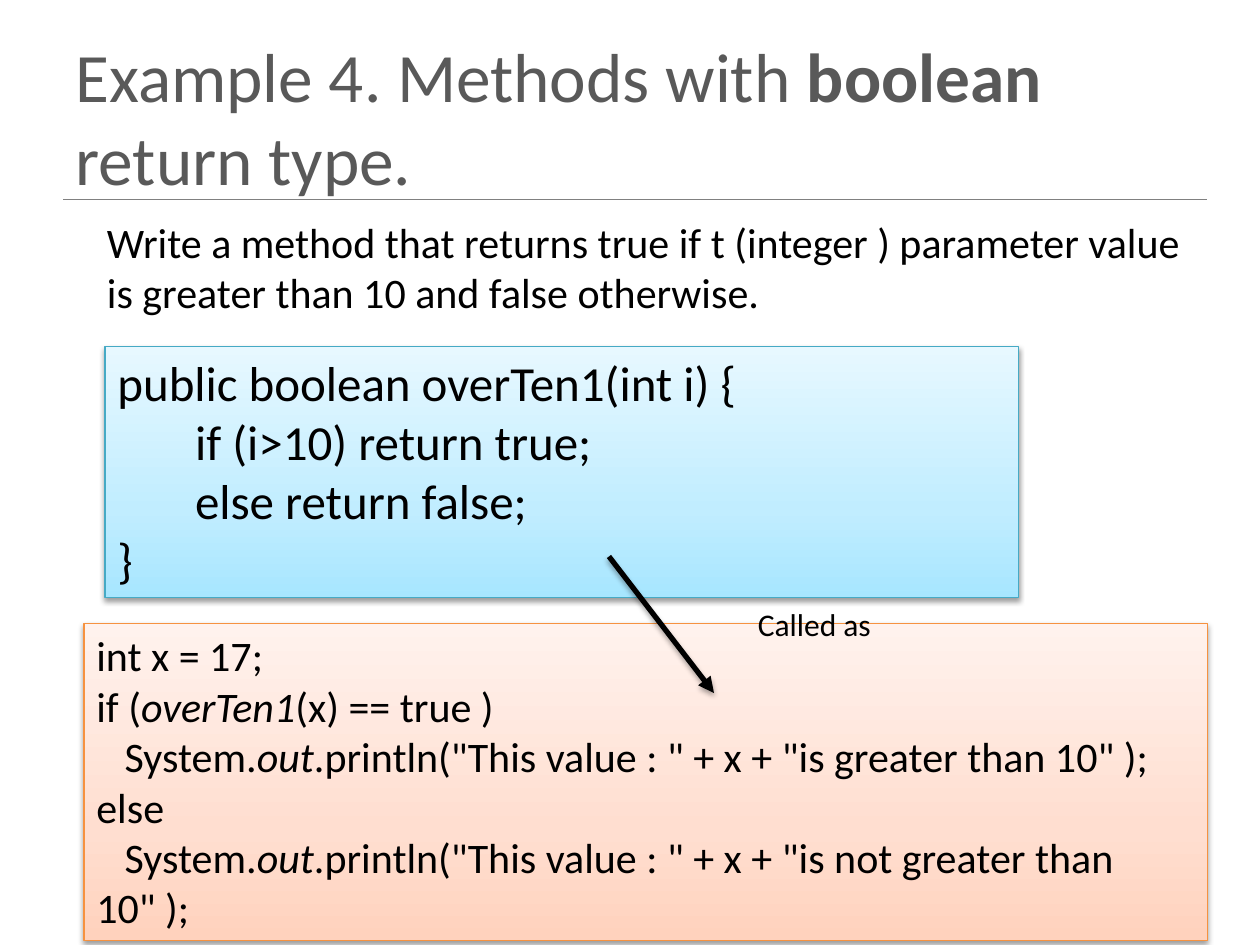
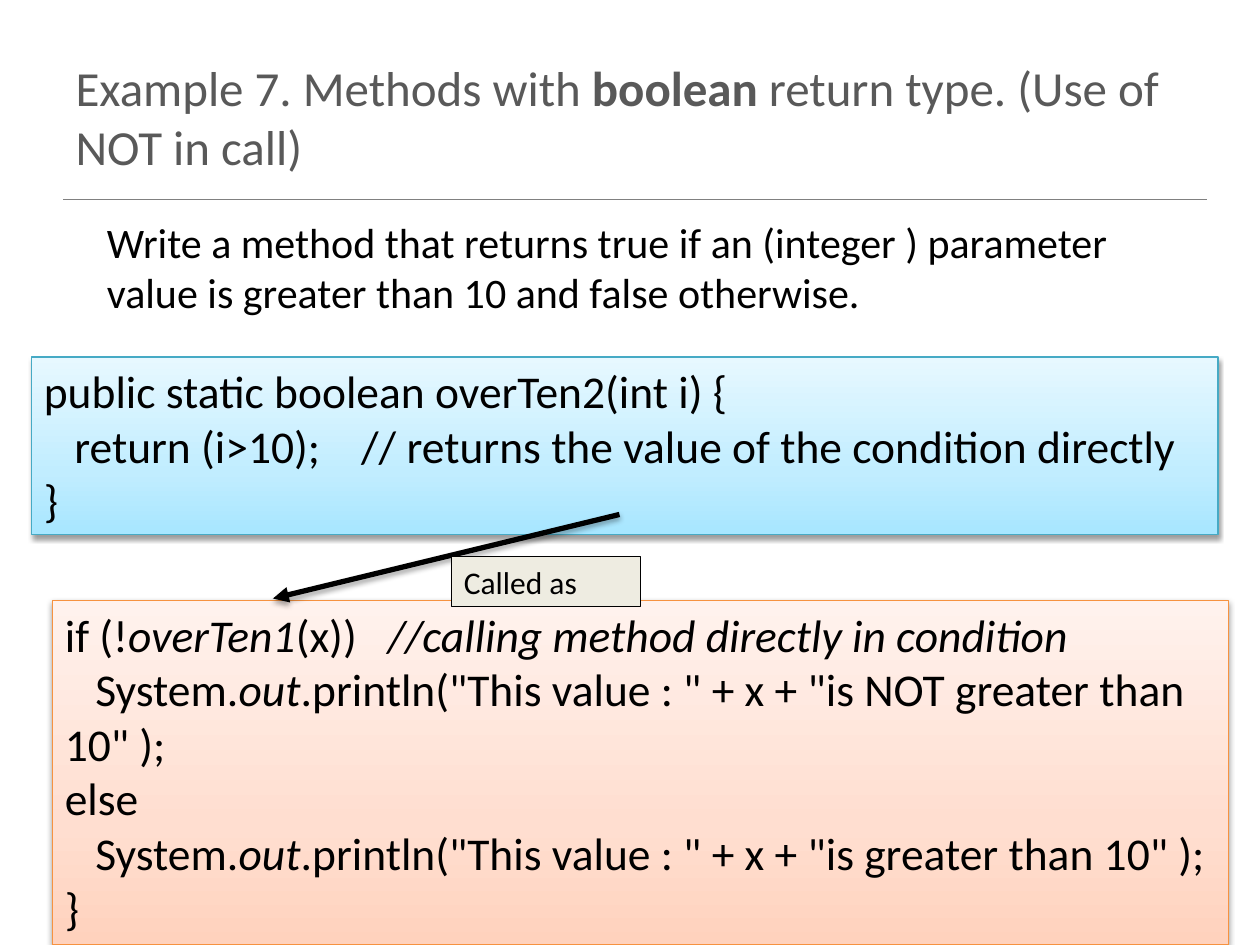
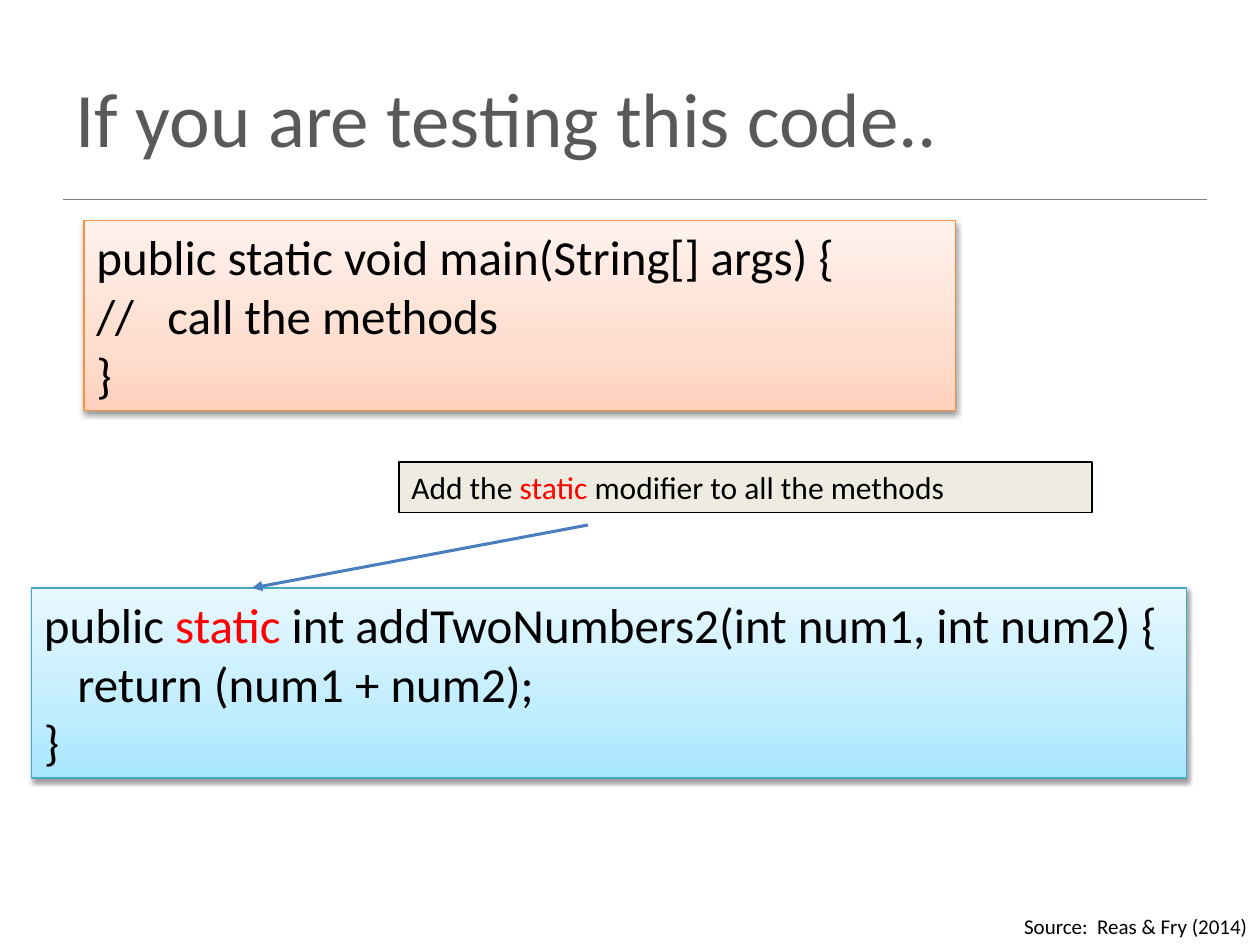
from lxml import etree
from copy import deepcopy
from pptx import Presentation
from pptx.dml.color import RGBColor
from pptx.enum.shapes import MSO_CONNECTOR, MSO_SHAPE
from pptx.enum.text import MSO_ANCHOR, MSO_AUTO_SIZE, PP_ALIGN
from pptx.oxml.ns import qn
from pptx.util import Pt

PX = 7620
FONT = "Calibri"
BLACK = RGBColor(0x00, 0x00, 0x00)
RED = RGBColor(0xFF, 0x00, 0x00)
TITLE_GRAY = RGBColor(0x59, 0x59, 0x59)
RULE_GRAY = RGBColor(0x80, 0x80, 0x80)
ARROW_BLUE = RGBColor(0x4B, 0x7E, 0xBC)
TAN = RGBColor(0xEE, 0xEC, 0xE1)
ORANGE_LINE = RGBColor(0xF6, 0x92, 0x40)
ORANGE_STOPS = (RGBColor(0xFF, 0xD2, 0xBD), RGBColor(0xFF, 0xDE, 0xD0), RGBColor(0xFF, 0xF2, 0xED))
BLUE_LINE = RGBColor(0x46, 0xAA, 0xC5)
BLUE_STOPS = (RGBColor(0xA7, 0xE6, 0xFF), RGBColor(0xC1, 0xED, 0xFF), RGBColor(0xE7, 0xF8, 0xFF))
ORANGE = (ORANGE_LINE, ORANGE_STOPS)
BLUE = (BLUE_LINE, BLUE_STOPS)
STOP_POSITIONS = (0, 0.35, 1)
RECT = MSO_SHAPE.RECTANGLE
STRAIGHT = MSO_CONNECTOR.STRAIGHT
TOP, MIDDLE = MSO_ANCHOR.TOP, MSO_ANCHOR.MIDDLE
LEFT, RIGHT = PP_ALIGN.LEFT, PP_ALIGN.RIGHT
NO_FIT = MSO_AUTO_SIZE.NONE


def write(tf, text, size, color=BLACK, mark="italic", align=LEFT, anchor=TOP, indent=0):
    tf.word_wrap = True
    tf.auto_size = NO_FIT
    tf.vertical_anchor = anchor
    for i, line in enumerate(text.split("\n")):
        p = tf.paragraphs[0] if i == 0 else tf.add_paragraph()
        p.alignment = align
        if line.startswith("\t"):
            p._p.get_or_add_pPr().set("indent", str(indent * PX))
        for j, part in enumerate(line.lstrip("\t").split("|")):
            if not part:
                continue
            r = p.add_run()
            r.text = part
            r.font.name = FONT
            r.font.size = Pt(size)
            marked = j % 2 == 1
            r.font.color.rgb = RED if marked and mark == "red" else color
            r.font.bold = marked and mark == "bold"
            r.font.italic = marked and mark == "italic"


def add_shadow(sp, dist=0, alpha=0):
    effects = etree.SubElement(sp._element.spPr, qn("a:effectLst"))
    if dist:
        shadow = etree.SubElement(effects, qn("a:outerShdw"), blurRad=str(Pt(3.1)),
                                  dist=str(Pt(dist)), dir="5400000", rotWithShape="0")
        black = etree.SubElement(shadow, qn("a:srgbClr"), val=str(BLACK))
        etree.SubElement(black, qn("a:alpha"), val=str(alpha * 1000))


prs = Presentation()
prs.slide_width = 1200 * PX
prs.slide_height = 900 * PX

titles = [
    ("Example 4. Methods with |boolean| return type.", 39.6),
    ("Example 7. Methods with |boolean| return type. (Use of NOT in call)", 28),
    ("If you are testing this code..", 44),
]
for text, size in titles:
    s = prs.slides.add_slide(prs.slide_layouts[5])
    sp = s.shapes.title
    sp.left, sp.top, sp.width, sp.height = (v * PX for v in (60, 36, 1080, 150))
    write(sp.text_frame, text, size, TITLE_GRAY, "bold", anchor=MIDDLE)

code_boxes = [
    (0, (80, 594, 1070, 302), ORANGE, 24, 27, "italic",
     'int x = 17;\nif (|overTen1|(x) == true )\n'
     '\tSystem.|out|.println("This value : " + x + "is greater than 10" );\nelse\n'
     '\tSystem.|out|.println("This value : " + x + "is not greater than 10" );'),
    (0, (100, 330, 870, 239), BLUE, 28, 74, "italic",
     "public boolean overTen1(int i) {\n\tif (i>10) return true;\n\telse return false;\n}"),
    (1, (50, 572, 1120, 328), ORANGE, 26, 29, "italic",
     'if (!|overTen1|(x))   |//calling method directly in condition|\n'
     '\tSystem.|out|.println("This value : " + x + "is NOT greater than 10" );\nelse\n'
     '\tSystem.|out|.println("This value : " + x + "is greater than 10" );\n}'),
    (1, (30, 340, 1130, 169), BLUE, 26, 29, "italic",
     "public static boolean overTen2(int i) {\n"
     "\treturn (i>10);    // returns the value of the condition directly\n}"),
    (2, (30, 560, 1100, 181), BLUE, 28, 32, "red",
     "public |static| int addTwoNumbers2(int num1, int num2) {\n\treturn (num1 + num2);\n}"),
    (2, (80, 210, 830, 181), ORANGE, 28, 32, "red",
     "public static void main(String[] args) {\n//   call the methods\n}"),
]
for n, at, (line_color, stops), size, indent, mark, text in code_boxes:
    sp = prs.slides[n].shapes.add_shape(RECT, *(v * PX for v in at))
    sp.fill.gradient()
    sp.fill.gradient_angle = 90
    gs_list = sp._element.spPr.find(".//" + qn("a:gsLst"))
    gs_list.insert(1, deepcopy(gs_list[0]))
    for stop, position, color in zip(sp.fill.gradient_stops, STOP_POSITIONS, stops):
        stop.position = position
        stop.color.rgb = color
    sp.line.color.rgb = line_color
    sp.line.width = Pt(0.75)
    add_shadow(sp, 1.6, 38)
    write(sp.text_frame, text, size, mark=mark, indent=indent)

title_rules = [(n, (60, 190, 1150, 190), RULE_GRAY, 1, False, 0) for n in range(len(titles))]
arrows = [
    (0, (580, 530, 680, 660), BLACK, 3, True, 1.8),
    (1, (590, 490, 260, 570), BLACK, 3, True, 1.8),
    (2, (560, 500, 240, 560), ARROW_BLUE, 1.75, True, 0),
]
for n, ends, color, width, has_head, shadow_dist in title_rules + arrows:
    sp = prs.slides[n].shapes.add_connector(STRAIGHT, *(v * PX for v in ends))
    sp.line.color.rgb = color
    sp.line.width = Pt(width)
    if has_head:
        etree.SubElement(sp.line._get_or_add_ln(), qn("a:tailEnd"), type="triangle")
    add_shadow(sp, shadow_dist, 35)

labels = [
    (0, (710, 570, 180, 48), 18, False, LEFT, "Called as"),
    (0, (90, 200, 1060, 109), 24, False, LEFT,
     "Write a method that returns true if t (integer ) parameter value is greater than 10 and false otherwise."),
    (1, (430, 530, 180, 48), 18, True, LEFT, "Called as"),
    (1, (90, 200, 1060, 109), 24, False, LEFT,
     "Write a method that returns true if an (integer ) parameter value is greater than 10 and false otherwise."),
    (2, (380, 440, 660, 48), 18, True, LEFT, "Add the |static| modifier to all the methods"),
    (2, (470, 864, 730, 36), 12, False, RIGHT, "Source:  Reas & Fry (2014)"),
]
for n, at, size, filled, align, text in labels:
    sp = prs.slides[n].shapes.add_textbox(*(v * PX for v in at))
    if filled:
        sp.fill.solid()
        sp.fill.fore_color.rgb = TAN
        sp.line.color.rgb = BLACK
        sp.line.width = Pt(0.75)
    write(sp.text_frame, text, size, mark="red", align=align)

prs.save("out.pptx")
